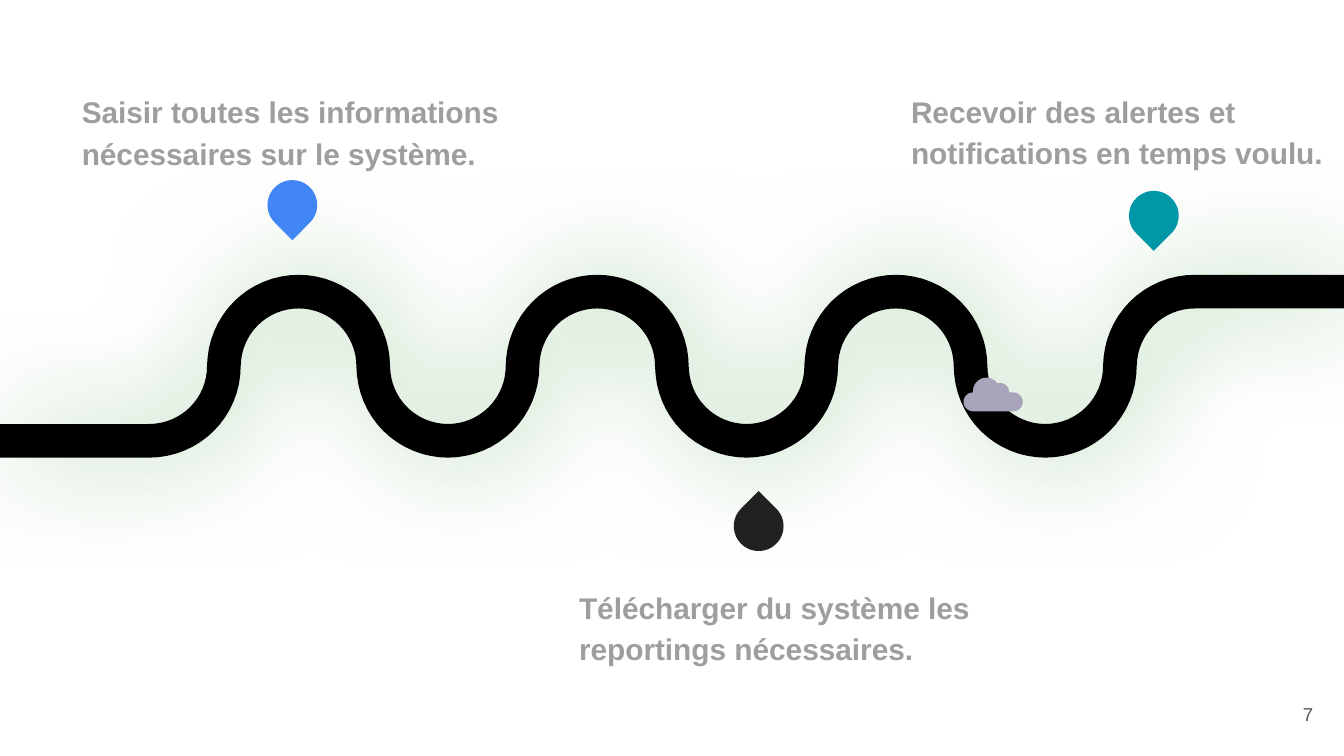
from dataclasses import dataclass
from math import cos, pi, radians, sin

from lxml import etree
from pptx import Presentation
from pptx import util as u
from pptx.dml.color import RGBColor
from pptx.enum import shapes, text
from pptx.oxml.ns import qn


@dataclass(frozen=True)
class Theme:
    font: str = "Arial"
    label: str = "9E9E9E"
    number: str = "595959"
    road: str = "000000"
    glow: str = "52A551"
    blue: str = "4285F4"
    dark: str = "212121"
    teal: str = "0097A7"
    cloud: str = "A7A4BC"
    label_size: int = 16
    number_size: int = 10
    road_width: int = 18


THEME = Theme()
STEPS = 16


def paint(sp, color):
    sp.shadow.inherit = False
    sp.fill.solid()
    sp.fill.fore_color.rgb = RGBColor.from_string(color)
    sp.line.fill.background()


def draw_path(slide, points, close):
    pts = [(u.Inches(x), u.Inches(y)) for x, y in points]
    builder = slide.shapes.build_freeform(*pts[0], scale=1.0)
    builder.add_line_segments(pts[1:], close=close)
    return builder.convert_to_shape()


def add_text(slide, box, content, color, font, para, frame):
    sp = slide.shapes.add_textbox(*map(u.Inches, box))
    tf = sp.text_frame
    tf.word_wrap = True
    margins = {f"margin_{side}": u.Inches(0.1) for side in ("left", "top", "right", "bottom")}
    p = tf.paragraphs[0]
    r = p.add_run()
    r.text = content
    r.font.color.rgb = RGBColor.from_string(color)
    for target, values in ((tf, margins | frame), (p, para), (r.font, font)):
        for name, value in values.items():
            setattr(target, name, value)


def add_label(slide, box, content):
    font = {"name": THEME.font, "size": u.Pt(THEME.label_size), "bold": True}
    para = {"line_spacing": 1.15, "space_after": u.Pt(12)}
    frame = {"vertical_anchor": text.MSO_ANCHOR.TOP}
    add_text(slide, box, content, THEME.label, font, para, frame)


def add_page_number(slide, box, content):
    font = {"name": THEME.font, "size": u.Pt(THEME.number_size)}
    para = {"alignment": text.PP_ALIGN.RIGHT}
    frame = {"vertical_anchor": text.MSO_ANCHOR.MIDDLE}
    add_text(slide, box, content, THEME.number, font, para, frame)


def add_glow(sp):
    effects = etree.SubElement(sp._element.spPr, qn("a:effectLst"))
    shadow = etree.SubElement(
        effects, qn("a:outerShdw"), blurRad=str(u.Pt(58.5)), dist=str(u.Pt(6.8)),
        dir="0", algn="bl", rotWithShape="0",
    )
    color = etree.SubElement(shadow, qn("a:srgbClr"), val=THEME.glow)
    etree.SubElement(color, qn("a:alpha"), val="50000")


def add_road(slide, box, bends=7):
    left, top, width, height = box
    radius, pitch = height / 2, width / (bends + 2)
    middle = top + radius
    angles = [pi / 2 * i / STEPS for i in range(STEPS + 1)]
    points = [(left, top + height)]
    for bend in range(bends):
        start = left + pitch * (bend + 1)
        side = 1 if bend % 2 == 0 else -1
        points += [(start + radius * sin(a), middle + side * radius * cos(a)) for a in angles]
        points += [
            (start + pitch - radius * cos(a), middle - side * radius * sin(a)) for a in angles[1:]
        ]
    points.append((left + width, top))
    sp = draw_path(slide, points, close=False)
    sp.fill.background()
    sp.line.color.rgb = RGBColor.from_string(THEME.road)
    sp.line.width = u.Pt(THEME.road_width)
    add_glow(sp)


def add_pin(slide, box, rotation, color):
    sp = slide.shapes.add_shape(shapes.MSO_SHAPE.TEAR, *map(u.Inches, box))
    sp.adjustments[0] = 1
    sp.rotation = rotation
    paint(sp, color)


def add_cloud(slide, left, top):
    puffs = [
        (0.07, 0.18, 0.07, 90, 270),
        (0.17, 0.1, 0.1, 180, 319),
        (0.27, 0.11, 0.07, 250, 360),
        (0.37, 0.18, 0.07, 270, 450),
    ]
    points = []
    for x, y, radius, start, end in puffs:
        for i in range(STEPS + 1):
            a = radians(start + (end - start) * i / STEPS)
            points.append((left + x + radius * cos(a), top + y + radius * sin(a)))
    paint(draw_path(slide, points, close=True), THEME.cloud)


def main():
    prs = Presentation()
    prs.slide_width = u.Inches(10)
    prs.slide_height = u.Inches(10 * 9 / 16)
    slide = prs.slides.add_slide(prs.slide_layouts[6])

    add_page_number(slide, (9.27, 5.1, 0.6, 0.43), "7")
    add_road(slide, (0, 2.17, 10, 1.11))

    pin_size = 0.37
    for left, top, rotation, color in (
        (1.99, 1.34, 135, THEME.blue),
        (5.46, 3.73, 315, THEME.dark),
        (8.4, 1.42, 135, THEME.teal),
    ):
        add_pin(slide, (left, top, pin_size, pin_size), rotation, color)

    for box, content in (
        ((0.51, 0.56, 3.32, 0.78), "Saisir toutes les informations nécessaires sur le système."),
        ((4.21, 4.25, 3.19, 0.78), "Télécharger du système les reportings nécessaires."),
        ((6.68, 0.56, 3.32, 1.23), "Recevoir des alertes et notifications en temps voulu."),
    ):
        add_label(slide, box, content)

    add_cloud(slide, 7.17, 2.81)
    prs.save("out.pptx")


if __name__ == "__main__":
    main()
